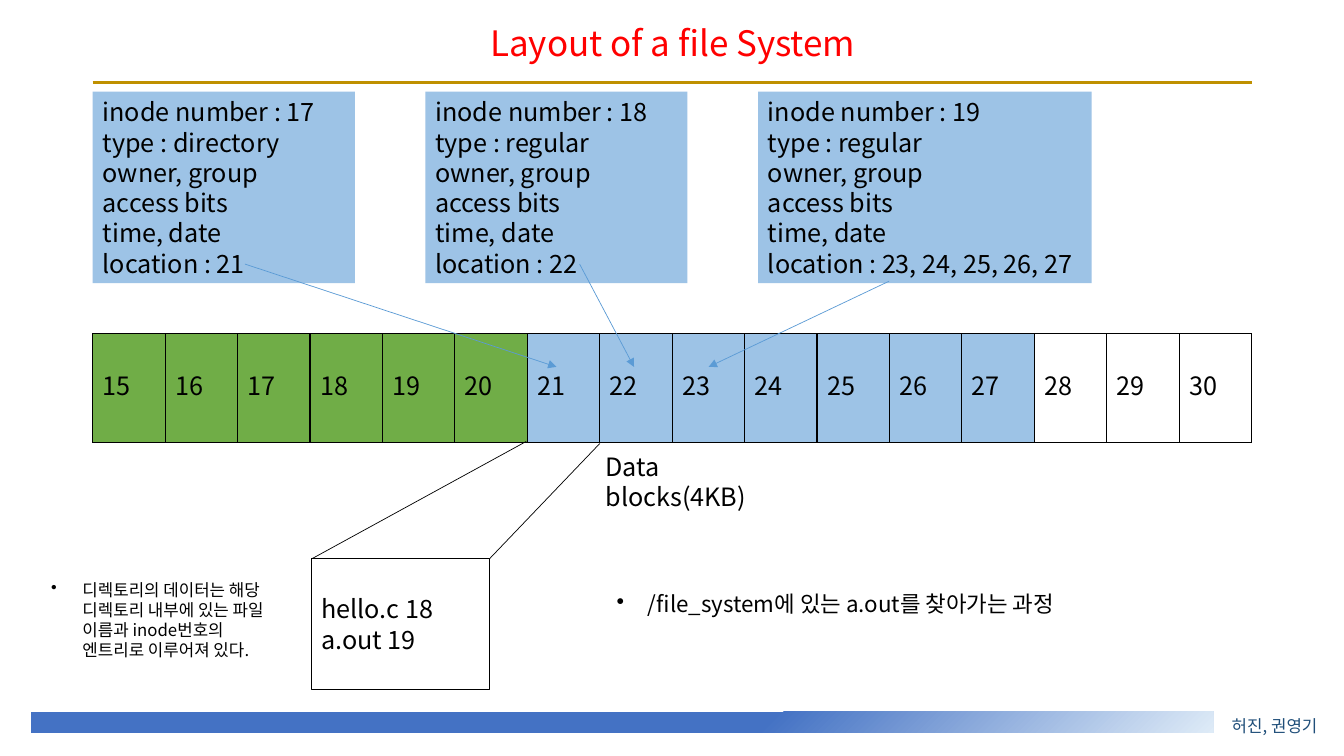
from dataclasses import dataclass
from typing import Optional

from lxml import etree
from pptx import Presentation
from pptx.dml.color import RGBColor
from pptx.enum.shapes import MSO_CONNECTOR as Connector, MSO_SHAPE as Shape
from pptx.enum.text import MSO_ANCHOR as Anchor, PP_ALIGN as Align
from pptx.oxml import parse_xml
from pptx.oxml.ns import nsdecls, qn
from pptx.util import Inches, Pt

BLACK = RGBColor(0x00, 0x00, 0x00)
WHITE = RGBColor(0xFF, 0xFF, 0xFF)
RED = RGBColor(0xFF, 0x00, 0x00)
NAVY = RGBColor(0x1F, 0x4E, 0x79)
GOLD = RGBColor(0xBF, 0x90, 0x00)
GREEN = RGBColor(0x70, 0xAD, 0x47)
LIGHT_BLUE = RGBColor(0x9D, 0xC3, 0xE6)
ARROW_BLUE = RGBColor(0x5B, 0x9B, 0xD5)

FONT = "Noto Sans CJK KR"
LINE_HEIGHT = 1.2
COLUMNS, ROWS = 133.33, 75  # the slide as a grid of tenth-inch cells
LEFT, WIDTH = 9.2, 115  # margins shared by the rule, the cards and the blocks


@dataclass(frozen=True)
class Box:
    left: float
    top: float
    width: float
    height: float

    def place(self) -> tuple:
        return grid(self.left), grid(self.top), grid(self.width), grid(self.height)


@dataclass(frozen=True)
class Label:
    text: str
    box: Box
    size: float = 18
    color: RGBColor = BLACK
    align: Align = Align.LEFT
    spacing: float = 1
    bullet: bool = False


@dataclass(frozen=True)
class Inode:
    number: int
    kind: str
    location: str
    width: float


@dataclass(frozen=True)
class Line:
    start: tuple
    end: tuple
    color: RGBColor
    points: float
    arrow: bool = False


@dataclass(frozen=True)
class BlockRange:
    first: int
    last: int
    color: RGBColor


INODES = [
    Inode(17, "directory", "21", 26),
    Inode(18, "regular", "22", 26),
    Inode(19, "regular", "23, 24, 25, 26, 27", 33.1),
]
CARD_TOP, CARD_HEIGHT, CARD_STEP = 9.1, 19, 33

BLOCK_RANGES = [
    BlockRange(15, 20, GREEN),
    BlockRange(21, 27, LIGHT_BLUE),
    BlockRange(28, 30, WHITE),
]
BLOCKS = Box(LEFT, 33.1, WIDTH, 10.8)
DIRECTORY = Box(30.9, 55.4, 17.7, 13)

LABELS = [
    Label("허진, 권영기", Box(119.1, 69.5, 14.7, 4), 12, NAVY, Align.CENTER, 1.5),
    Label("Layout of a file System", Box(21.3, 2.1, 90.9, 4.7), 25, RED, Align.CENTER, 0.9),
    Label("Data blocks(4KB)", Box(59.1, 44.3, 21, 4)),
    Label("디렉토리의 데이터는 해당 디렉토리 내부에 있는 파일 이름과 inode번호의 "
          "엔트리로 이루어져 있다.", Box(4.1, 57, 25.5, 9), 12, bullet=True),
    Label("/file_system에 있는 a.out를 찾아가는 과정",
          Box(60.2, 58.1, 64, 3.7), 16, bullet=True),
]

LINES = [
    Line((LEFT, 8.2), (LEFT + WIDTH, 8.2), GOLD, 2),
    Line((24.3, 26.2), (55.2, 36.4), ARROW_BLUE, 0.5, True),
    Line((57.5, 26.2), (62.9, 36.4), ARROW_BLUE, 0.5, True),
    Line((88.2, 27.9), (70.3, 36.4), ARROW_BLUE, 0.5, True),
    Line((52.2, 43.8), (31, 55.4), BLACK, 0.5),
    Line((59.5, 44), (48.6, 55.4), BLACK, 0.5),
]


def grid(cells: float) -> int:
    return Inches(cells / 10)


def format_text(text_frame, size: float = 18, color: RGBColor = BLACK,
                align: Align = Align.LEFT, spacing: float = 1) -> None:
    for paragraph in text_frame.paragraphs:
        paragraph.alignment = align
        paragraph.line_spacing = Pt(size * LINE_HEIGHT * spacing)
        for run in paragraph.runs:
            run.font.name = FONT
            run.font.size = Pt(size)
            run.font.color.rgb = color
            east_asian = etree.SubElement(run.font._element, qn("a:ea"))
            east_asian.set("typeface", FONT)


def add_label(slide, label: Label) -> None:
    text_frame = slide.shapes.add_textbox(*label.box.place()).text_frame
    text_frame.word_wrap = True
    text_frame.text = label.text
    format_text(text_frame, label.size, label.color, label.align, label.spacing)
    if label.bullet:
        properties = text_frame.paragraphs[0]._p.get_or_add_pPr()
        properties.set("marL", str(grid(3.1)))
        properties.set("indent", str(-grid(3.1)))
        etree.SubElement(properties, qn("a:buChar")).set("char", "•")


def add_box(slide, box: Box, fill: RGBColor, text: str = "", outline: Optional[RGBColor] = None):
    shape = slide.shapes.add_shape(Shape.RECTANGLE, *box.place())
    shape.shadow.inherit = False
    shape.fill.solid()
    shape.fill.fore_color.rgb = fill
    if outline is None:
        shape.line.fill.background()
    else:
        shape.line.color.rgb = outline
        shape.line.width = Pt(0.75)
    shape.text_frame.text = text
    shape.text_frame.vertical_anchor = Anchor.TOP
    format_text(shape.text_frame)
    return shape


def add_footer_bar(slide) -> None:
    bar = add_box(slide, Box(3.1, 70.6, 117.3, 2.1), WHITE)
    gradient = parse_xml(
        f'<a:gradFill {nsdecls("a")} rotWithShape="1"><a:gsLst>'
        '<a:gs pos="0"><a:srgbClr val="FFFFFF"/></a:gs>'
        '<a:gs pos="0"><a:srgbClr val="DEEBF7"/></a:gs>'
        '<a:gs pos="38000"><a:srgbClr val="4472C4"/></a:gs></a:gsLst>'
        '<a:path path="circle"><a:fillToRect l="100000" t="100000"/></a:path></a:gradFill>')
    properties = bar._element.spPr
    properties.replace(properties.find(qn("a:solidFill")), gradient)


def add_inode(slide, position: int, inode: Inode) -> None:
    text = "\n".join([f"inode number : {inode.number}", f"type : {inode.kind}", "owner, group",
                      "access bits", "time, date", f"location : {inode.location}"])
    box = Box(LEFT + position * CARD_STEP, CARD_TOP, inode.width, CARD_HEIGHT)
    add_box(slide, box, LIGHT_BLUE, text)


def add_blocks(slide) -> None:
    blocks = [(number, part.color) for part in BLOCK_RANGES
              for number in range(part.first, part.last + 1)]
    table = slide.shapes.add_table(1, len(blocks), *BLOCKS.place()).table
    table.first_row = table.horz_banding = False
    for column, (number, color) in enumerate(blocks):
        table.columns[column].width = grid(BLOCKS.width / len(blocks))
        cell = table.cell(0, column)
        cell.text = str(number)
        cell.vertical_anchor = Anchor.MIDDLE
        format_text(cell.text_frame)
        properties = cell._tc.get_or_add_tcPr()
        for side in ("lnL", "lnR", "lnT", "lnB"):
            properties.append(parse_xml(
                f'<a:{side} {nsdecls("a")} w="{Pt(1)}"><a:solidFill>'
                f'<a:srgbClr val="{BLACK}"/></a:solidFill></a:{side}>'))
        cell.fill.solid()
        cell.fill.fore_color.rgb = color


def add_line(slide, line: Line) -> None:
    points = [grid(value) for value in line.start + line.end]
    connector = slide.shapes.add_connector(Connector.STRAIGHT, *points)
    connector.line.color.rgb = line.color
    connector.line.width = Pt(line.points)
    if line.arrow:
        etree.SubElement(connector.line._get_or_add_ln(), qn("a:tailEnd")).set("type", "triangle")
    etree.SubElement(connector._element.spPr, qn("a:effectLst"))


def main() -> None:
    presentation = Presentation()
    presentation.slide_width, presentation.slide_height = grid(COLUMNS), grid(ROWS)
    slide = presentation.slides.add_slide(presentation.slide_layouts[6])

    # Footer bar, inode cards and data blocks
    add_footer_bar(slide)
    for position, inode in enumerate(INODES):
        add_inode(slide, position, inode)
    add_blocks(slide)

    # Directory content
    directory = add_box(slide, DIRECTORY, WHITE, "hello.c 18\na.out 19", BLACK)
    directory.text_frame.word_wrap = False
    directory.text_frame.vertical_anchor = Anchor.MIDDLE

    # Lines and free-standing text
    for line in LINES:
        add_line(slide, line)
    for label in LABELS:
        add_label(slide, label)
    presentation.save("out.pptx")


if __name__ == "__main__":
    main()
